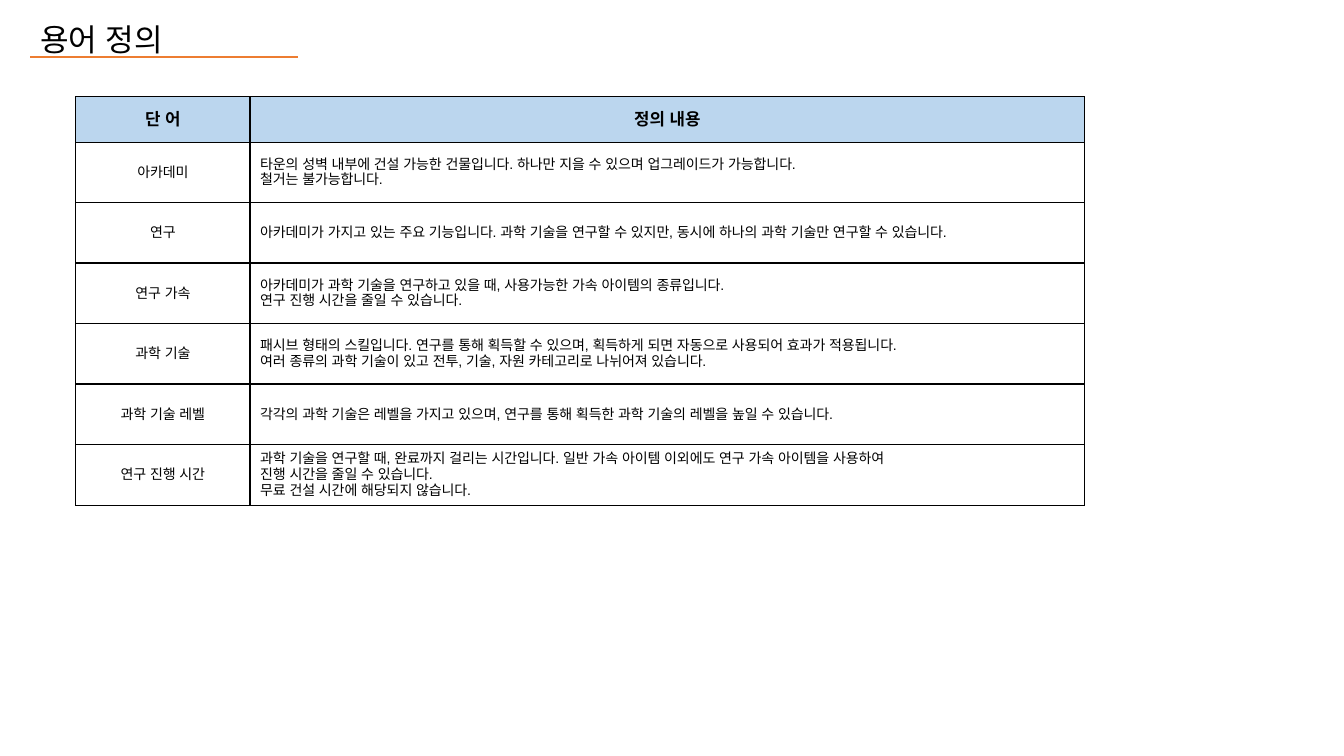
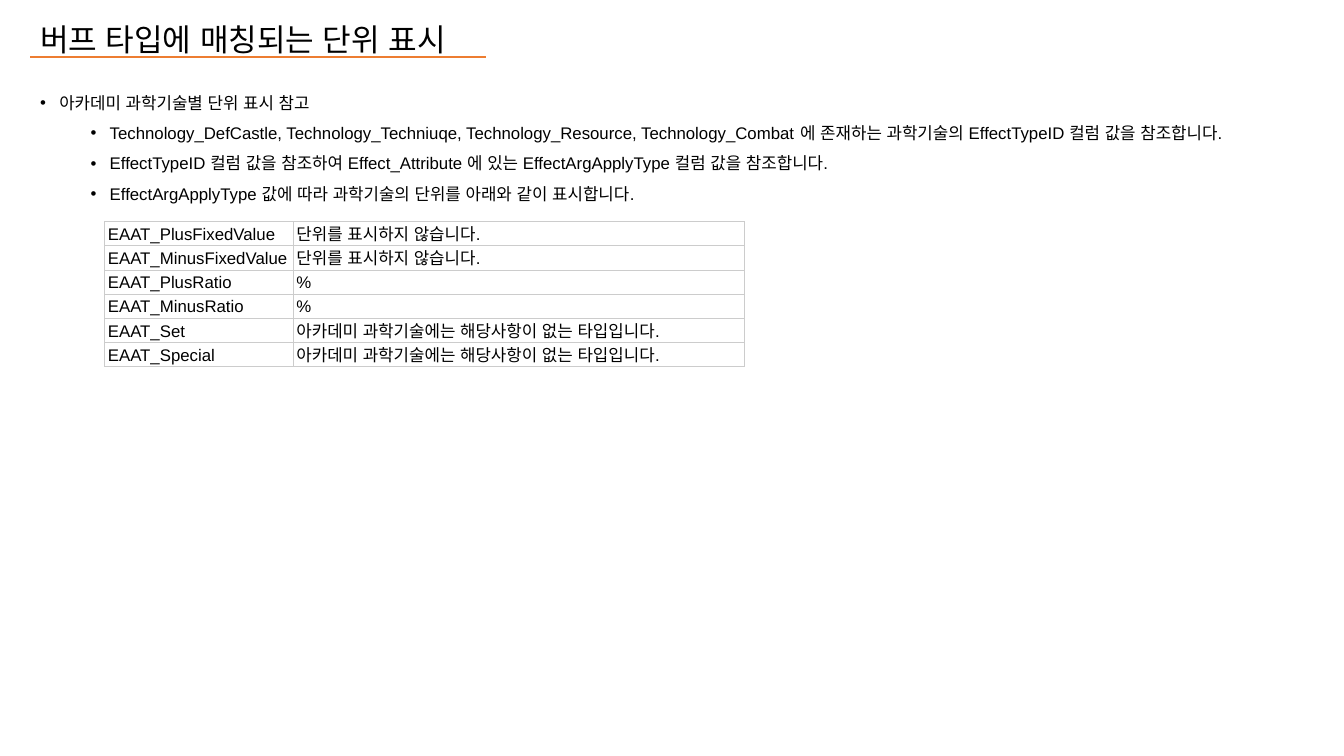
from lxml.etree import SubElement as Sub
from pptx import Presentation
from pptx.dml.color import RGBColor as Rgb
from pptx.enum.text import MSO_ANCHOR as Anchor, PP_ALIGN as Align
from pptx.oxml.ns import qn
from pptx.util import Inches, Pt

FONT = "Arial"
INK = {"text": "000000", "rule": "ED7D31", "head": "BBD6EE",
       "cell": "FFFFFF", "grid": "CCCCCC"}

TERMS = [
    ("단 어", "정의 내용"),
    ("아카데미", "타운의 성벽 내부에 건설 가능한 건물입니다. 하나만 지을 수 있으며 업그레이드가 가능합니다.\n"
     "철거는 불가능합니다."),
    ("연구", "아카데미가 가지고 있는 주요 기능입니다. 과학 기술을 연구할 수 있지만, "
     "동시에 하나의 과학 기술만 연구할 수 있습니다."),
    ("연구 가속", "아카데미가 과학 기술을 연구하고 있을 때, 사용가능한 가속 아이템의 종류입니다.\n"
     "연구 진행 시간을 줄일 수 있습니다."),
    ("과학 기술", "패시브 형태의 스킬입니다. 연구를 통해 획득할 수 있으며, "
     "획득하게 되면 자동으로 사용되어 효과가 적용됩니다.\n"
     "여러 종류의 과학 기술이 있고 전투, 기술, 자원 카테고리로 나뉘어져 있습니다."),
    ("과학 기술 레벨", "각각의 과학 기술은 레벨을 가지고 있으며, "
     "연구를 통해 획득한 과학 기술의 레벨을 높일 수 있습니다."),
    ("연구 진행 시간", "과학 기술을 연구할 때, 완료까지 걸리는 시간입니다. "
     "일반 가속 아이템 이외에도 연구 가속 아이템을 사용하여\n"
     "진행 시간을 줄일 수 있습니다.\n무료 건설 시간에 해당되지 않습니다."),
]

NOTES = [
    (0.19, "아카데미 과학기술별 단위 표시 참고"),
    (0.69, "Technology_DefCastle, Technology_Techniuqe, Technology_Resource, Technology_Combat "
     "에 존재하는 과학기술의 EffectTypeID 컬럼 값을 참조합니다."),
    (0.69, "EffectTypeID 컬럼 값을 참조하여 Effect_Attribute 에 있는 EffectArgApplyType 컬럼 값을 참조합니다."),
    (0.69, "EffectArgApplyType 값에 따라 과학기술의 단위를 아래와 같이 표시합니다."),
]

BLANK = "단위를 표시하지 않습니다."
UNUSED = "아카데미 과학기술에는 해당사항이 없는 타입입니다."
UNITS = [
    ("EAAT_PlusFixedValue", BLANK),
    ("EAAT_MinusFixedValue", BLANK),
    ("EAAT_PlusRatio", "%"),
    ("EAAT_MinusRatio", "%"),
    ("EAAT_Set", UNUSED),
    ("EAAT_Special", UNUSED),
]


def bullet(para, left):
    props = para._p.get_or_add_pPr()
    props.set("marL", str(Inches(left)))
    props.set("indent", str(-Inches(0.19)))
    if left > 0.5:
        props.set("lvl", "1")
    tint = Sub(props, qn("a:buClr"))
    Sub(tint, qn("a:srgbClr"), val=INK["text"])
    Sub(props, qn("a:buFont"), typeface=FONT)
    Sub(props, qn("a:buChar"), char="•")


def write(frame, text, size=12, bold=False, align=Align.LEFT, space=None, dents=None):
    frame.word_wrap = True
    for i, line in enumerate(text.split("\n")):
        para = frame.add_paragraph() if i else frame.paragraphs[0]
        para.alignment = align
        if space:
            para.line_spacing = space
        if dents:
            bullet(para, dents[i])
        run = para.add_run()
        run.text = line
        font = run.font
        font.size, font.bold, font.name = Pt(size), bold, FONT
        font.color.rgb = Rgb.from_string(INK["text"])
        Sub(font._element, qn("a:ea"), typeface=FONT)


def text_box(slide, box, text, **style):
    frame = slide.shapes.add_textbox(*map(Inches, box)).text_frame
    write(frame, text, **style)


def title(slide, text, width):
    left, rule = 0.3, 0.57
    text_box(slide, (left, 0.01, 6.49, 0.64), text, size=22.2, space=1.4)
    line = slide.shapes.add_connector(
        1, Inches(left), Inches(rule), Inches(left + width), Inches(rule))
    line.line.color.rgb = Rgb.from_string(INK["rule"])
    line.line.width = Pt(1.5)
    Sub(line._element.spPr, qn("a:effectLst"))


def border(cell, color, width):
    props = cell._tc.get_or_add_tcPr()
    for side in ("lnL", "lnR", "lnT", "lnB"):
        edge = Sub(props, qn("a:" + side), w=str(Pt(width)))
        fill = Sub(edge, qn("a:solidFill"))
        Sub(fill, qn("a:srgbClr"), val=color)


def grid(slide, spot, cols, rows, data, style):
    size = sum(cols), sum(rows)
    table = slide.shapes.add_table(
        len(rows), len(cols), *map(Inches, (*spot, *size))).table
    table.first_row = table.horz_banding = False
    for col, width in zip(table.columns, cols):
        col.width = Inches(width)
    for r, (row, height) in enumerate(zip(table.rows, rows)):
        row.height = Inches(height)
        for c, cell in enumerate(row.cells):
            style(cell, r, c, data[r][c])


def term_cell(cell, r, c, text):
    head = r == 0
    border(cell, INK["text"], 1)
    cell.fill.solid()
    cell.fill.fore_color.rgb = Rgb.from_string(INK["head" if head else "cell"])
    cell.vertical_anchor = Anchor.MIDDLE
    write(cell.text_frame, text, size=12 if head else 10, bold=head,
          align=Align.CENTER if head or c == 0 else Align.LEFT)


def unit_cell(cell, r, c, text):
    border(cell, INK["grid"], 0.75)
    cell.fill.background()
    cell.vertical_anchor = Anchor.BOTTOM
    cell.margin_left = cell.margin_right = Inches(0.03)
    cell.margin_top = cell.margin_bottom = Inches(0.02)
    write(cell.text_frame, text)


def term_slide(slide):
    title(slide, "용어 정의", 2.66)
    grid(slide, (0.75, 0.96), (1.73, 8.28), [0.45] + [0.6] * 6, TERMS, term_cell)


def unit_slide(slide):
    title(slide, "버프 타입에 매칭되는 단위 표시", 4.52)
    grid(slide, (1.04, 2.2), (1.87, 4.47), [0.21] * 6, UNITS, unit_cell)
    dents, lines = zip(*NOTES)
    text_box(slide, (0.3, 0.77, 12.87, 1.31), "\n".join(lines), space=1.5, dents=dents)


def main():
    deck = Presentation()
    deck.slide_width, deck.slide_height = Inches(13.33), Inches(7.5)
    for build in (term_slide, unit_slide):
        build(deck.slides.add_slide(deck.slide_layouts[6]))
    deck.save("out.pptx")


if __name__ == "__main__":
    main()
